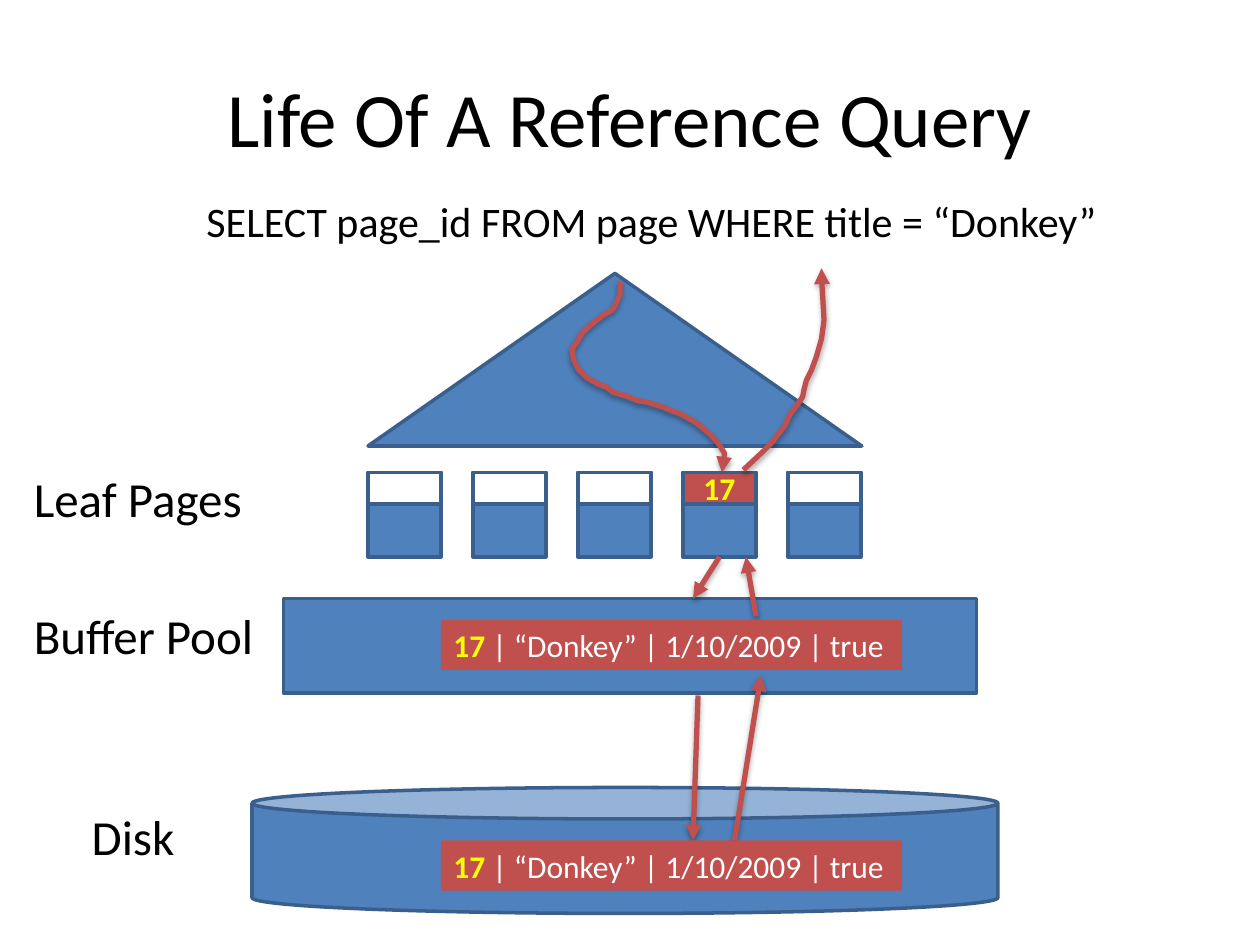
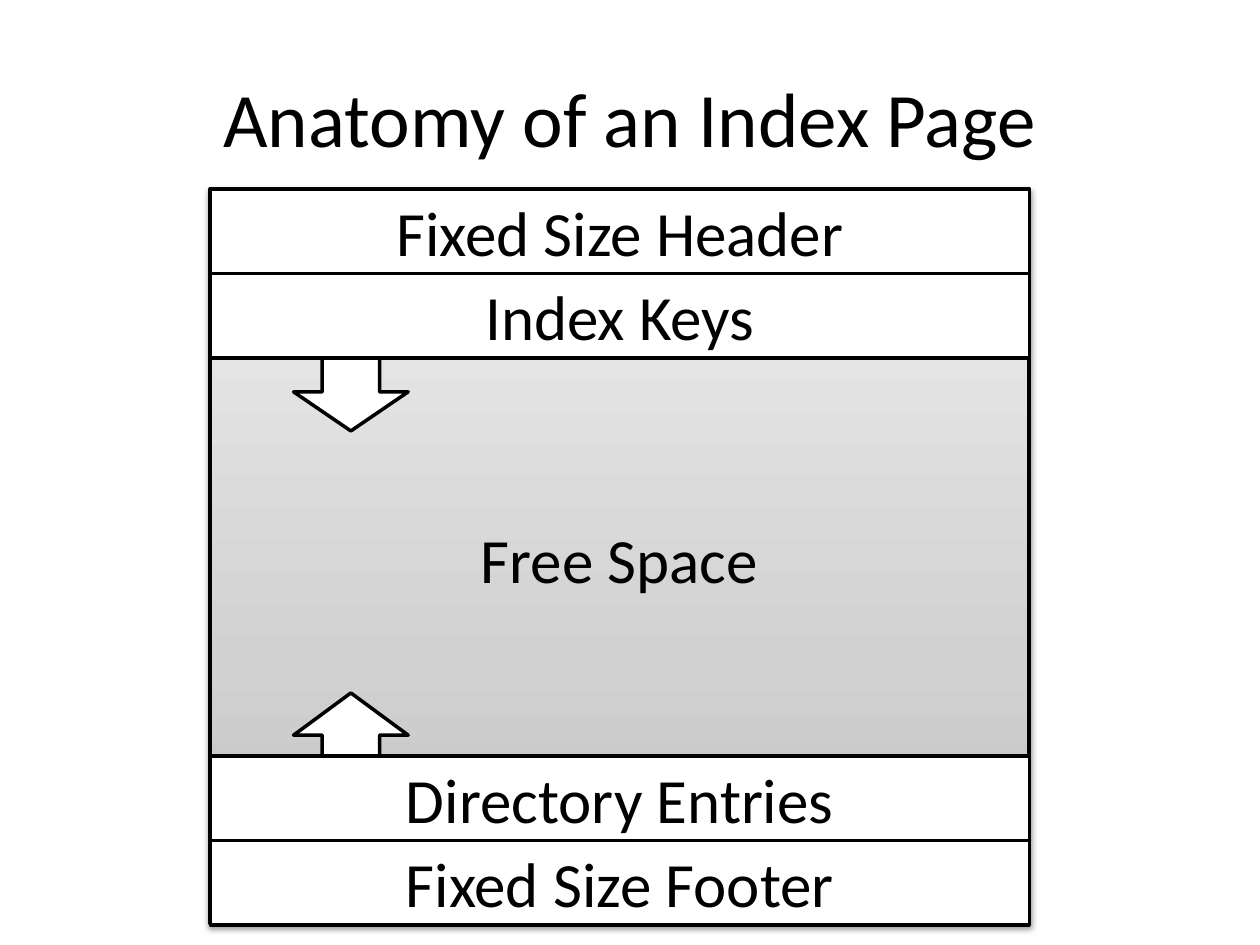
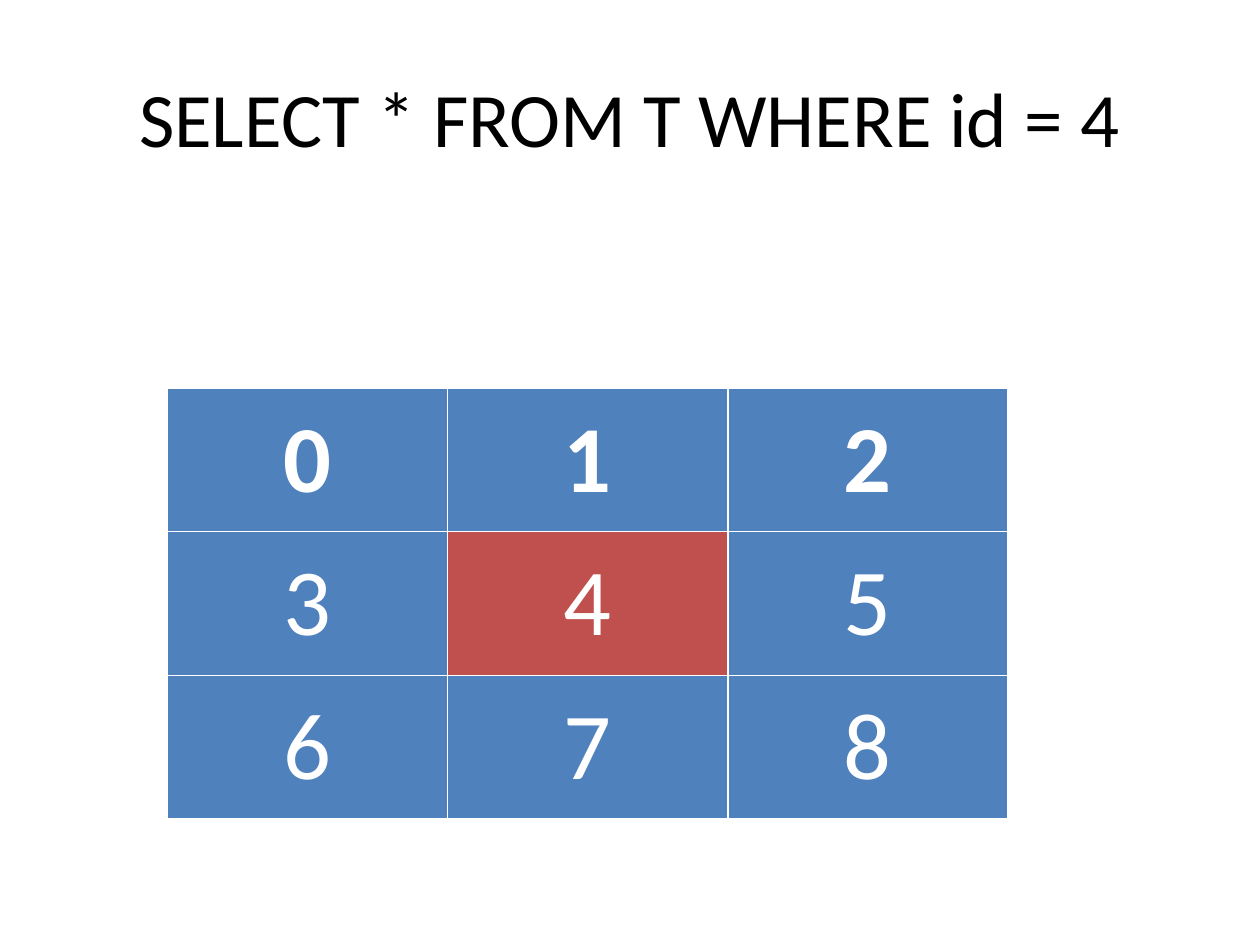
from copy import deepcopy

from lxml import etree
from pptx import Presentation
from pptx import util as u
from pptx.dml.color import RGBColor
from pptx.enum import shapes, text
from pptx.oxml.ns import qn

INK = {
    "black": "000000",
    "white": "FFFFFF",
    "blue": "4F81BD",
    "edge": "3A5F8C",
    "red": "C0504D",
    "yellow": "FFFF00",
}
SHADES = [(0, "BDBDBD"), (0.35, "D1D1D1"), (1, "EEEEEE")]
FONT = "Calibri"
KIND = shapes.MSO_SHAPE

# Search runs down the tree to the leaf; result runs from the leaf to the query.
SEARCH = [
    (4.92, 2.23), (4.92, 2.34), (4.88, 2.43), (4.86, 2.46), (4.79, 2.5),
    (4.7, 2.57), (4.63, 2.63), (4.57, 2.73), (4.54, 2.77), (4.55, 2.85),
    (4.59, 2.93), (4.66, 3), (4.75, 3.05), (4.81, 3.07), (4.86, 3.11),
    (4.99, 3.15), (5.06, 3.18), (5.13, 3.19), (5.26, 3.23), (5.33, 3.26),
    (5.39, 3.28), (5.5, 3.34), (5.57, 3.39), (5.64, 3.45), (5.71, 3.53),
    (5.75, 3.6), (5.73, 3.75),
]
RESULT = [
    (5.9, 3.73), (6.06, 3.58), (6.12, 3.52), (6.15, 3.48), (6.23, 3.38),
    (6.27, 3.29), (6.33, 3.21), (6.37, 3.15), (6.38, 3.1), (6.4, 3.02),
    (6.44, 2.94), (6.48, 2.83), (6.52, 2.69), (6.54, 2.54), (6.53, 2.36),
    (6.52, 2.19), (6.52, 2.13),
]
STEPS = [
    ((5.54, 5.52), (5.5, 6.67)),
    ((5.83, 6.67), (6.04, 5.36)),
    ((6, 4.89), (5.92, 4.42)),
    ((5.71, 4.42), (5.5, 4.75)),
]


def rgb(name):
    return RGBColor.from_string(INK[name])


def inches(*nums):
    return [u.Inches(n) for n in nums]


def put(frame, words, size=18, color="black", bold=False, align="LEFT",
        anchor="TOP", wrap=False):
    """Add a run to the first paragraph of a text frame."""
    frame.word_wrap = wrap
    frame.vertical_anchor = getattr(text.MSO_ANCHOR, anchor)
    para = frame.paragraphs[0]
    para.alignment = getattr(text.PP_ALIGN, align)
    run = para.add_run()
    run.text = words
    font = run.font
    font.name, font.size, font.bold = FONT, u.Pt(size), bold
    font.color.rgb = rgb(color)


def label(slide, words, box, **form):
    put(slide.shapes.add_textbox(*inches(*box)).text_frame, words, **form)


def shape(slide, kind, box, fill="blue", edge="edge", width=2):
    item = slide.shapes.add_shape(kind, *inches(*box))
    item.shadow.inherit = False
    item.fill.solid()
    item.fill.fore_color.rgb = rgb(fill)
    if edge:
        item.line.color.rgb = rgb(edge)
        item.line.width = u.Pt(width)
    else:
        item.line.fill.background()
    return item


def shade(item, alpha):
    """Give a shape a soft shadow straight below it."""
    props = item._element.spPr
    for old in props.findall(qn("a:effectLst")):
        props.remove(old)
    effect = etree.SubElement(props, qn("a:effectLst"))
    cast = etree.SubElement(effect, qn("a:outerShdw"), blurRad="40000",
                            dist="23000", dir="5400000", rotWithShape="0")
    tone = etree.SubElement(cast, qn("a:srgbClr"), val=INK["black"])
    etree.SubElement(tone, qn("a:alpha"), val=str(alpha * 1000))


def point(item):
    """Style a line as a red arrow."""
    item.line.color.rgb = rgb("red")
    item.line.width = u.Pt(3)
    etree.SubElement(item.line._get_or_add_ln(), qn("a:tailEnd"),
                     type="triangle")
    shade(item, 35)


def arrow(slide, start, end):
    point(slide.shapes.add_connector(shapes.MSO_CONNECTOR.STRAIGHT,
                                     *inches(*start, *end)))


def trail(slide, spots):
    pen = slide.shapes.build_freeform(*inches(*spots[0]))
    pen.add_line_segments([inches(*spot) for spot in spots[1:]], close=False)
    item = pen.convert_to_shape()
    item.fill.background()
    point(item)


def blend(item):
    """Fill a shape with greys that lighten upwards."""
    item.fill.gradient()
    item.fill.gradient_angle = 90
    stops = item._element.spPr.find(".//" + qn("a:gsLst"))
    stops.append(deepcopy(stops[-1]))
    for stop, (place, tone) in zip(item.fill.gradient_stops, SHADES):
        stop.position = place
        stop.color.rgb = RGBColor.from_string(tone)


def start(deck, title):
    """Add a slide with the shared title style."""
    slide = deck.slides.add_slide(deck.slide_layouts[5])
    head = slide.shapes.title
    head.left, head.top, head.width, head.height = inches(0.5, 0.3, 9, 1.25)
    put(head.text_frame, title, size=44, align="CENTER", anchor="MIDDLE",
        wrap=True)
    return slide


def leaf(slide, left, key=None):
    shape(slide, KIND.RECTANGLE, (left, 3.75, 0.58, 0.67))
    head = shape(slide, KIND.RECTANGLE, (left, 3.75, 0.58, 0.25),
                 fill="red" if key else "white")
    if key:
        put(head.text_frame, key, color="yellow", bold=True, align="CENTER",
            anchor="MIDDLE")


def record(slide, top):
    frame = shape(slide, KIND.RECTANGLE, (3.5, top, 3.66, 0.4), fill="red",
                  edge=None).text_frame
    put(frame, "17 ", color="yellow", bold=True)
    put(frame, "| “Donkey” | 1/10/2009 | true", color="white")


def query(deck):
    slide = start(deck, "Life Of A Reference Query")
    label(slide, "SELECT page_id FROM page WHERE title = “Donkey”",
          (1.54, 1.5, 7.35, 0.5), size=24)
    shape(slide, KIND.CAN, (2, 6.25, 5.92, 1))
    shape(slide, KIND.ISOSCELES_TRIANGLE, (2.92, 2.17, 3.92, 1.37))
    shape(slide, KIND.RECTANGLE, (2.25, 4.75, 5.5, 0.75))
    trail(slide, SEARCH)
    for col in range(5):
        leaf(slide, 2.92 + col * 0.833, key="17" if col == 3 else None)
    for left, top, wide, words in [(0.17, 3.67, 1.87, "Leaf Pages"),
                                   (0.17, 4.76, 1.97, "Buffer Pool"),
                                   (0.63, 6.35, 0.87, "Disk")]:
        label(slide, words, (left, top, wide, 0.57), size=28)
    for ends in STEPS:
        arrow(slide, *ends)
    trail(slide, RESULT)
    for top in (4.92, 6.67):
        record(slide, top)


def anatomy(deck):
    slide = start(deck, "Anatomy of an Index Page")
    page = shape(slide, KIND.RECTANGLE, (1.67, 1.5, 6.5, 5.83), edge="black",
                 width=2.25)
    blend(page)
    shade(page, 38)
    label(slide, "Free Space", (2.91, 4.08, 4.01, 0.71), size=36,
          align="CENTER", wrap=True)
    for kind, top, tall in [(KIND.DOWN_ARROW, 2.8, 0.62),
                            (KIND.UP_ARROW, 5.5, 0.67)]:
        shape(slide, kind, (2.33, top, 0.91, tall), "white", "black")
    for top, words in [(1.5, "Fixed Size Header"), (2.17, "Index Keys"),
                       (6, "Directory Entries"), (6.67, "Fixed Size Footer")]:
        band = shape(slide, KIND.RECTANGLE, (1.67, top, 6.5, 0.67), "white",
                     "black")
        put(band.text_frame, words, size=36, align="CENTER", anchor="MIDDLE",
            wrap=True)


def lookup(deck):
    slide = start(deck, "SELECT * FROM T WHERE id = 4")
    grid = slide.shapes.add_table(3, 3, *inches(1.33, 3.08, 6.67, 3.42)).table
    for num, cell in enumerate(grid.iter_cells()):
        cell.fill.solid()
        cell.fill.fore_color.rgb = rgb("red" if num == 4 else "blue")
        put(cell.text_frame, str(num), size=54, color="white", bold=num < 3,
            align="CENTER", wrap=True)
        cell.vertical_anchor = text.MSO_ANCHOR.MIDDLE


def main():
    deck = Presentation()
    deck.slide_width, deck.slide_height = inches(10, 7.5)
    query(deck)
    anatomy(deck)
    lookup(deck)
    deck.save("out.pptx")


if __name__ == "__main__":
    main()
